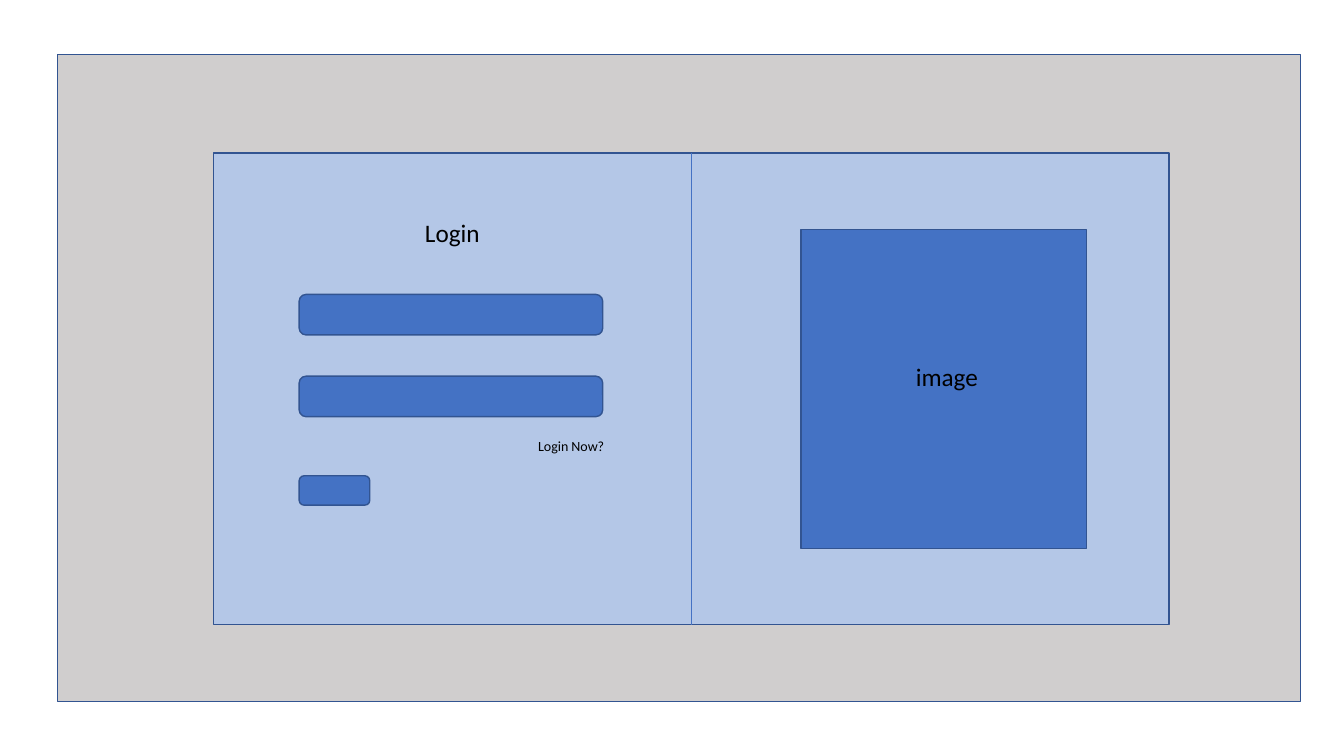
from lxml import etree
from pptx import Presentation
from pptx.dml.color import RGBColor
from pptx.enum.shapes import MSO_CONNECTOR, MSO_SHAPE
from pptx.enum.text import MSO_AUTO_SIZE
from pptx.oxml.ns import qn
from pptx.util import Cm, Pt

GREY, PALE_BLUE, BLUE, DARK_BLUE, BLACK = "D0CECE", "B4C7E7", "4472C4", "325491", "000000"


def paint(color_format, hex_color):
    color_format.rgb = RGBColor.from_string(hex_color)


def add_panel(kind, left, top, width, height, fill):
    panel = slide.shapes.add_shape(kind, Cm(left), Cm(top), Cm(width), Cm(height))
    panel.shadow.inherit = False
    panel.fill.solid()
    paint(panel.fill.fore_color, fill)
    paint(panel.line.color, DARK_BLUE)
    panel.line.width = Pt(1)
    return panel


prs = Presentation()
prs.slide_width, prs.slide_height = Cm(33.87), Cm(19.05)
slide = prs.slides.add_slide(prs.slide_layouts[6])

# Page and login card, split down the middle
add_panel(MSO_SHAPE.RECTANGLE, 1.45, 1.37, 31.32, 16.31, GREY)
card = add_panel(MSO_SHAPE.RECTANGLE, 5.38, 3.86, 24.08, 11.88, PALE_BLUE)

divider = slide.shapes.add_connector(MSO_CONNECTOR.STRAIGHT, 0, 0, 0, 0)
divider.begin_connect(card, 0)
divider.end_connect(card, 2)
paint(divider.line.color, BLUE)
divider.line.width = Pt(0.5)
etree.SubElement(divider._element.spPr, qn("a:effectLst"))

# Two input fields, the button below them, and the image area
for field_top in (7.42, 9.48):
    add_panel(MSO_SHAPE.ROUNDED_RECTANGLE, 7.54, field_top, 7.65, 1.02, BLUE)
add_panel(MSO_SHAPE.ROUNDED_RECTANGLE, 7.54, 11.99, 1.78, 0.74, BLUE)
add_panel(MSO_SHAPE.RECTANGLE, 20.19, 5.79, 7.19, 8.03, BLUE)

labels = [
    ("Login", 10.46, 5.36, 1.91, 1.02, 18),
    ("Login Now?", 13.31, 10.9, 2.97, 0.69, 10),
    ("image", 22.83, 8.97, 2.16, 1.02, 18),
]
for wording, left, top, width, height, size in labels:
    label = slide.shapes.add_textbox(Cm(left), Cm(top), Cm(width), Cm(height))
    label.text_frame.word_wrap = True
    label.text_frame.auto_size = MSO_AUTO_SIZE.SHAPE_TO_FIT_TEXT
    run = label.text_frame.paragraphs[0].add_run()
    run.text = wording
    run.font.name = "Calibri"
    run.font.size = Pt(size)
    paint(run.font.color, BLACK)

prs.save("out.pptx")
